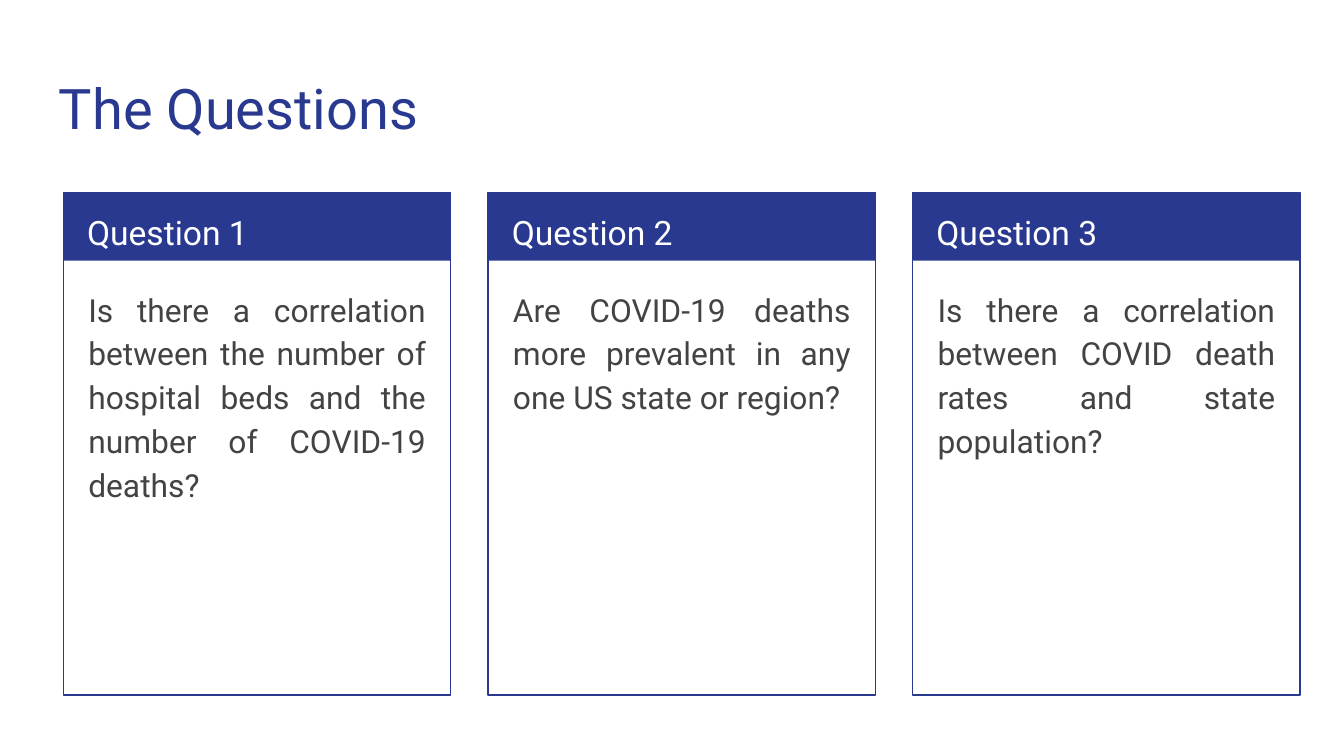
from dataclasses import dataclass

from pptx import Presentation
from pptx import util as u
from pptx.dml.color import RGBColor
from pptx.enum import shapes, text


@dataclass(frozen=True)
class Theme:
    font: str = "Roboto"
    navy: RGBColor = RGBColor(0x2A, 0x39, 0x90)
    white: RGBColor = RGBColor(0xFF, 0xFF, 0xFF)
    grey: RGBColor = RGBColor(0x43, 0x43, 0x43)
    title_size: float = 30
    label_size: float = 18
    body_size: float = 17
    line_width: float = 0.75
    inset: float = 7.2


class SlideBuilder:
    def __init__(self, slide, theme):
        self.slide = slide
        self.theme = theme

    def rectangle(self, left, top, width, height, fill=None, line=None):
        shape = self.slide.shapes.add_shape(
            shapes.MSO_SHAPE.RECTANGLE,
            u.Pt(left), u.Pt(top), u.Pt(width), u.Pt(height))
        shape.shadow.inherit = False
        if fill is None:
            shape.fill.background()
        else:
            shape.fill.solid()
            shape.fill.fore_color.rgb = fill
        if line is None:
            shape.line.fill.background()
        else:
            shape.line.color.rgb = line
            shape.line.width = u.Pt(self.theme.line_width)

    def text_box(self, left, top, width, height, words, size, color,
                 spacing=1.0, after=0, alignment=text.PP_ALIGN.LEFT):
        shape = self.slide.shapes.add_textbox(
            u.Pt(left), u.Pt(top), u.Pt(width), u.Pt(height))
        frame = shape.text_frame
        frame.word_wrap = True
        frame.vertical_anchor = text.MSO_ANCHOR.TOP
        inset = u.Pt(self.theme.inset)
        frame.margin_left = frame.margin_right = inset
        frame.margin_top = frame.margin_bottom = inset
        paragraph = frame.paragraphs[0]
        paragraph.text = words
        paragraph.alignment = alignment
        paragraph.line_spacing = spacing
        paragraph.space_after = u.Pt(after)
        paragraph.font.name = self.theme.font
        paragraph.font.size = u.Pt(size)
        paragraph.font.color.rgb = color

    def title(self, words):
        self.text_box(24.5, 32.4, 671, 47.5, words,
                      self.theme.title_size, self.theme.navy)

    def question_card(self, left, top, label, question):
        theme = self.theme
        self.rectangle(left, top, 207.4, 36.7, fill=theme.navy)
        self.rectangle(left, top, 207.4, 269.3, line=theme.navy)
        self.text_box(left + 5.6, top, 196.6, 36, label,
                      theme.label_size, theme.white, spacing=1.15)
        self.text_box(left + 6.2, top + 42.4, 195.1, 220.3, question,
                      theme.body_size, theme.grey, spacing=1.15, after=16,
                      alignment=text.PP_ALIGN.JUSTIFY)


QUESTIONS = [
    "Is there a correlation between the number of hospital beds "
    "and the number of COVID-19 deaths?",
    "Are COVID-19 deaths more prevalent in any one US state or region?",
    "Is there a correlation between COVID death rates and state population?",
]
CARD_LEFT, CARD_TOP, CARD_PITCH = 34, 103, 227.5


def main():
    presentation = Presentation()
    presentation.slide_width = u.Pt(720)
    presentation.slide_height = u.Pt(405)
    slide = presentation.slides.add_slide(presentation.slide_layouts[6])
    builder = SlideBuilder(slide, Theme())
    builder.title("The Questions")
    for index, question in enumerate(QUESTIONS):
        builder.question_card(CARD_LEFT + index * CARD_PITCH, CARD_TOP,
                              f"Question {index + 1}", question)
    presentation.save("out.pptx")


if __name__ == "__main__":
    main()
